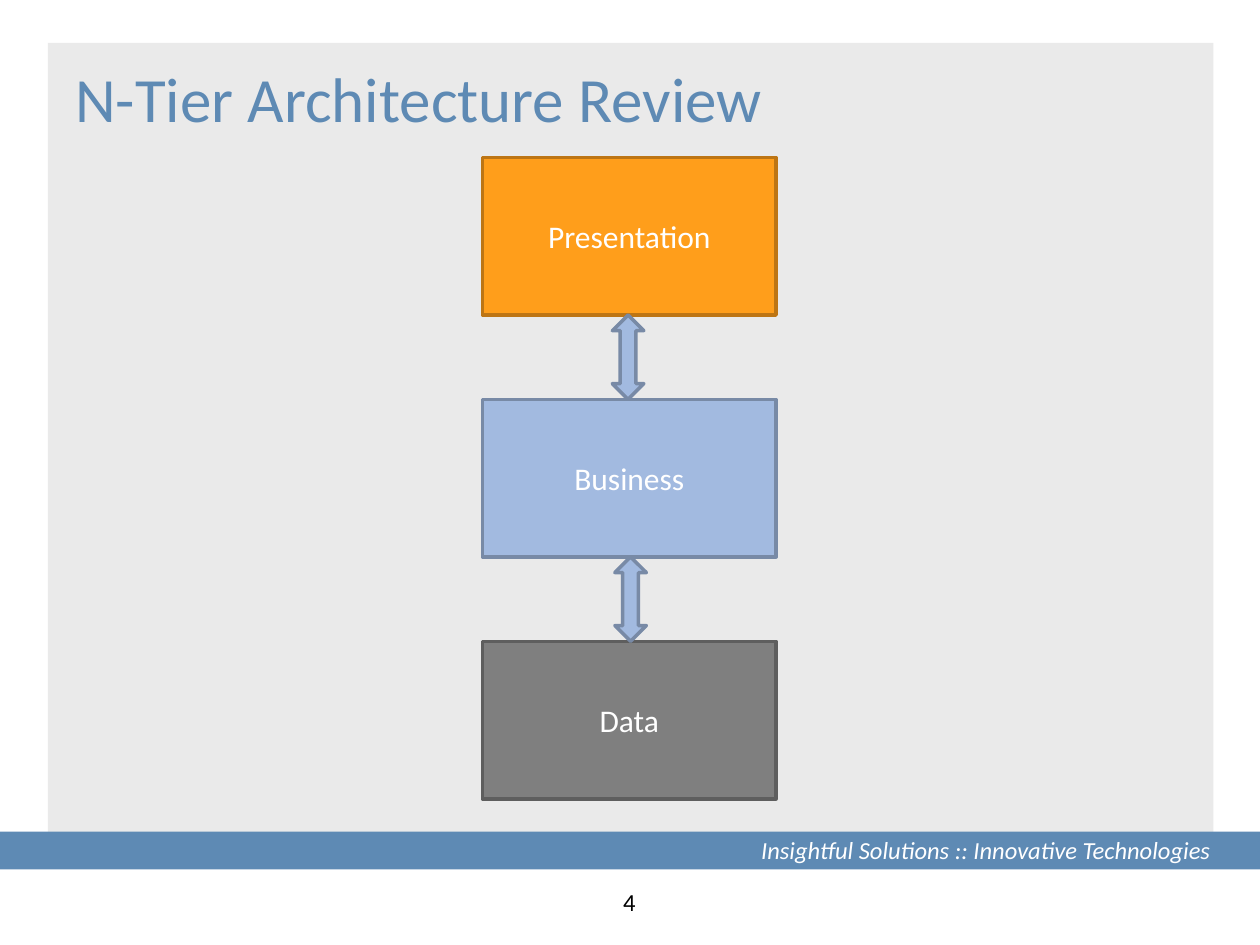
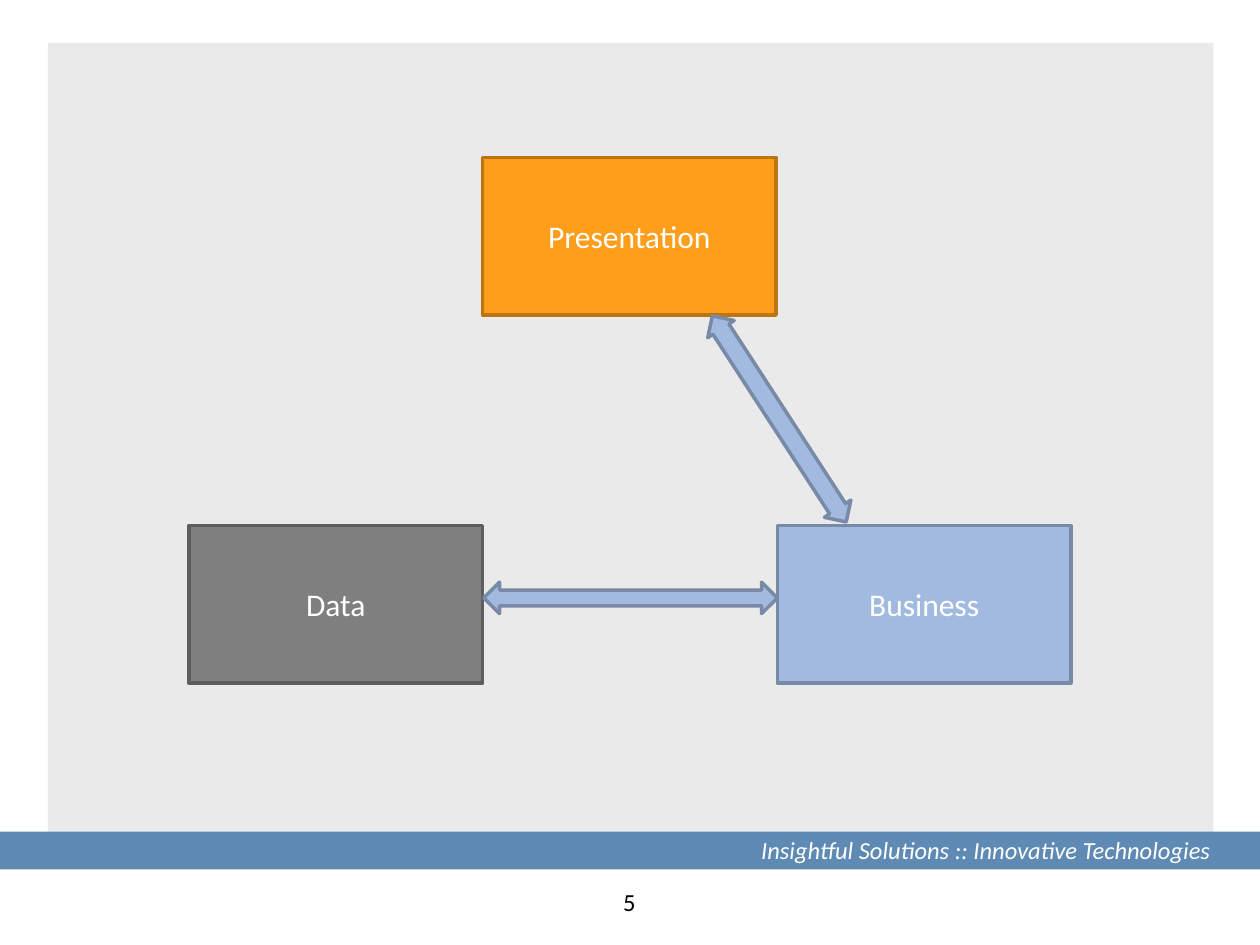
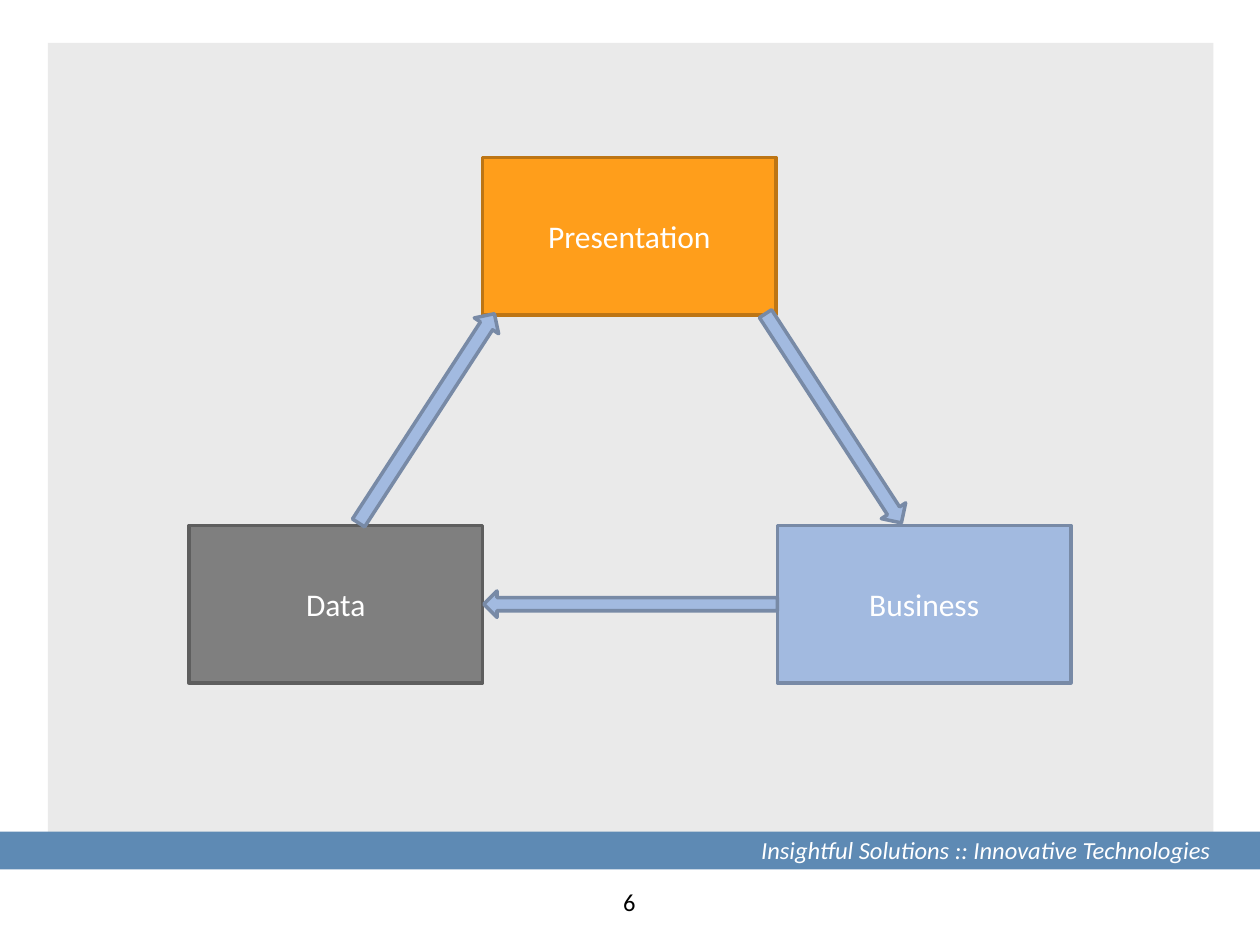
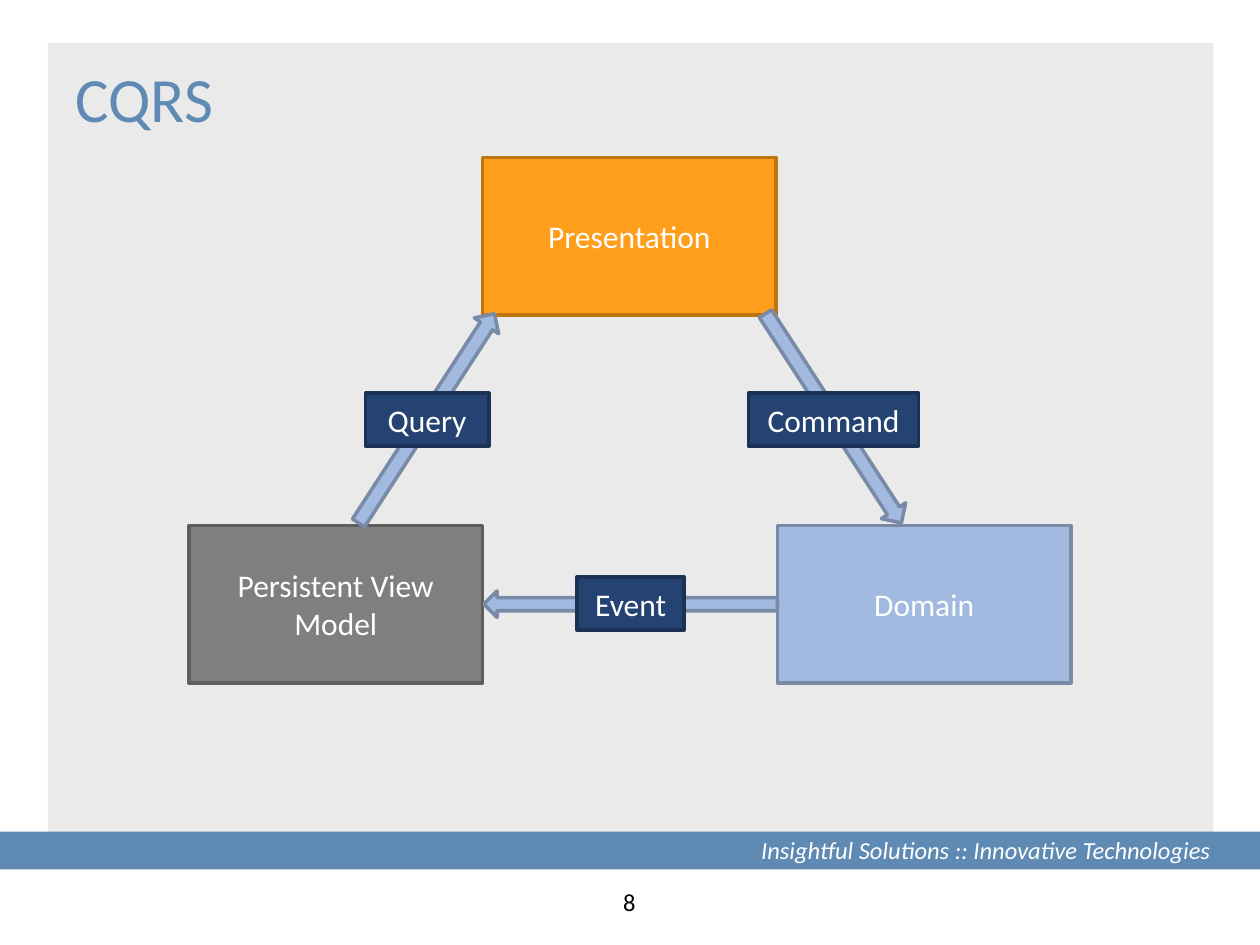
from dataclasses import dataclass, replace
from typing import Optional

from pptx import Presentation
from pptx.dml.color import RGBColor
from pptx.enum.shapes import MSO_SHAPE
from pptx.enum.text import MSO_ANCHOR, PP_ALIGN
from pptx.shapes.autoshape import Shape
from pptx.slide import Slide
from pptx.util import Inches, Pt

WHITE = RGBColor(0xFF, 0xFF, 0xFF)
BLACK = RGBColor(0x00, 0x00, 0x00)
PANEL_GRAY = RGBColor(0xEA, 0xEA, 0xEA)
BRAND_BLUE = RGBColor(0x5E, 0x8A, 0xB4)
ORANGE = RGBColor(0xFF, 0x9E, 0x1B)
DARK_ORANGE = RGBColor(0xBD, 0x75, 0x14)
LIGHT_BLUE = RGBColor(0xA2, 0xBA, 0xE0)
SLATE_BLUE = RGBColor(0x78, 0x8A, 0xA6)
GRAY = RGBColor(0x7F, 0x7F, 0x7F)
DARK_GRAY = RGBColor(0x5E, 0x5E, 0x5E)
NAVY = RGBColor(0x25, 0x43, 0x72)
DARK_NAVY = RGBColor(0x1B, 0x32, 0x54)

FONT = "Calibri"
TAGLINE = "Insightful Solutions :: Innovative Technologies"
TIER_WIDTH = 2.33
TIER_HEIGHT = 1.25
TIER_PITCH = 1.92
TIER_LEFT = 3.83
TIER_TOP = 1.25
LOWER_TOP = 4.17
LABEL_HEIGHT = 0.42


@dataclass(frozen=True)
class Block:
    left: float
    top: float
    width: float
    height: float
    fill: RGBColor
    line: Optional[RGBColor] = None
    text: str = ""
    kind: MSO_SHAPE = MSO_SHAPE.RECTANGLE
    rotation: float = 0
    adjustments: tuple[float, ...] = ()


def tier(text: str, left: float, top: float, fill: RGBColor, line: RGBColor) -> Block:
    return Block(left, top, TIER_WIDTH, TIER_HEIGHT, fill, line, text)


def arrow(kind: MSO_SHAPE, left: float, top: float, width: float, height: float,
          rotation: float = 0, adjustments: tuple[float, ...] = ()) -> Block:
    return Block(left, top, width, height, LIGHT_BLUE, SLATE_BLUE,
                 kind=kind, rotation=rotation, adjustments=adjustments)


def label(text: str, left: float, top: float, width: float) -> Block:
    return Block(left, top, width, LABEL_HEIGHT, NAVY, DARK_NAVY, text)


PANEL = Block(0.38, 0.34, 9.25, 6.42, PANEL_GRAY)
BAND = Block(0, 6.6, 10, 0.3, BRAND_BLUE)

PRESENTATION_TIER = tier("Presentation", TIER_LEFT, TIER_TOP, ORANGE, DARK_ORANGE)
BUSINESS_TIER = tier("Business", 6.17, LOWER_TOP, LIGHT_BLUE, SLATE_BLUE)
DATA_TIER = tier("Data", 1.5, LOWER_TOP, GRAY, DARK_GRAY)

STACKED_TIERS = [
    replace(block, left=TIER_LEFT, top=TIER_TOP + row * TIER_PITCH)
    for row, block in enumerate((PRESENTATION_TIER, BUSINESS_TIER, DATA_TIER))
]
STACK_ARROWS = [
    arrow(MSO_SHAPE.UP_DOWN_ARROW, left, TIER_TOP + TIER_HEIGHT + row * TIER_PITCH,
          0.25, TIER_PITCH - TIER_HEIGHT)
    for row, left in enumerate((4.86, 4.88))
]
TRIANGLE_TIERS = [PRESENTATION_TIER, BUSINESS_TIER, DATA_TIER]
TWO_WAY_ARROWS = [
    arrow(MSO_SHAPE.UP_DOWN_ARROW, 6.06, 2.35, 0.25, 1.95, 327, (0.421, 0.605)),
    arrow(MSO_SHAPE.UP_DOWN_ARROW, 4.88, 3.58, 0.25, 2.33, 270),
]
CYCLE_ARROWS = [
    arrow(MSO_SHAPE.DOWN_ARROW, 6.5, 2.33, 0.23, 1.98, 327),
    arrow(MSO_SHAPE.LEFT_ARROW, 3.84, 4.69, 2.33, 0.21),
    arrow(MSO_SHAPE.UP_ARROW, 3.27, 2.33, 0.23, 1.98, 33),
]
CQRS_TIERS = [
    PRESENTATION_TIER,
    replace(BUSINESS_TIER, text="Domain"),
    replace(DATA_TIER, text="Persistent View Model"),
]
CQRS_LABELS = [
    label("Command", 5.94, 3.12, 1.35),
    label("Event", 4.58, 4.58, 0.85),
    label("Query", 2.9, 3.12, 0.98),
]


@dataclass(frozen=True)
class Page:
    number: int
    blocks: list[Block]
    title: str = ""


PAGES = [
    Page(4, STACKED_TIERS + STACK_ARROWS, "N-Tier Architecture Review"),
    Page(5, TRIANGLE_TIERS + TWO_WAY_ARROWS),
    Page(6, TRIANGLE_TIERS + CYCLE_ARROWS),
    Page(8, CQRS_TIERS + CYCLE_ARROWS + CQRS_LABELS, "CQRS"),
]


def write_text(shape: Shape, text: str, *, size: float = 18, color: RGBColor = WHITE,
               align: PP_ALIGN = PP_ALIGN.CENTER, anchor: MSO_ANCHOR = MSO_ANCHOR.MIDDLE,
               italic: bool = False, right_inset: float = 0.1) -> None:
    frame = shape.text_frame
    frame.word_wrap = True
    frame.vertical_anchor = anchor
    frame.margin_right = Inches(right_inset)
    paragraph = frame.paragraphs[0]
    paragraph.alignment = align
    run = paragraph.add_run()
    run.text = text
    run.font.name = FONT
    run.font.size = Pt(size)
    run.font.italic = italic
    run.font.color.rgb = color


def add_text_box(slide: Slide, left: float, top: float, width: float, height: float) -> Shape:
    return slide.shapes.add_textbox(Inches(left), Inches(top), Inches(width), Inches(height))


def draw_block(slide: Slide, block: Block) -> None:
    shape = slide.shapes.add_shape(block.kind, Inches(block.left), Inches(block.top),
                                   Inches(block.width), Inches(block.height))
    shape.shadow.inherit = False
    shape.rotation = block.rotation
    for index, value in enumerate(block.adjustments):
        shape.adjustments[index] = value
    shape.fill.solid()
    shape.fill.fore_color.rgb = block.fill
    if block.line is None:
        shape.line.fill.background()
    else:
        shape.line.color.rgb = block.line
        shape.line.width = Pt(2)
    if block.text:
        write_text(shape, block.text)


def draw_frame(slide: Slide, page: Page) -> None:
    draw_block(slide, PANEL)
    draw_block(slide, BAND)
    write_text(add_text_box(slide, 3.61, 6.58, 6, 0.34), TAGLINE, size=14,
               align=PP_ALIGN.RIGHT, anchor=MSO_ANCHOR.TOP, italic=True, right_inset=0)
    if page.title:
        write_text(add_text_box(slide, 0.5, 0.42, 9, 1.25), page.title, size=36,
                   color=BRAND_BLUE, align=PP_ALIGN.LEFT, anchor=MSO_ANCHOR.TOP)
    write_text(add_text_box(slide, 3.83, 6.99, 2.33, 0.34), str(page.number),
               size=14, color=BLACK)


def main() -> None:
    presentation = Presentation()
    presentation.slide_width = Inches(10)
    presentation.slide_height = Inches(7.5)
    for page in PAGES:
        slide = presentation.slides.add_slide(presentation.slide_layouts[6])
        draw_frame(slide, page)
        for block in page.blocks:
            draw_block(slide, block)
    presentation.save("out.pptx")


if __name__ == "__main__":
    main()
